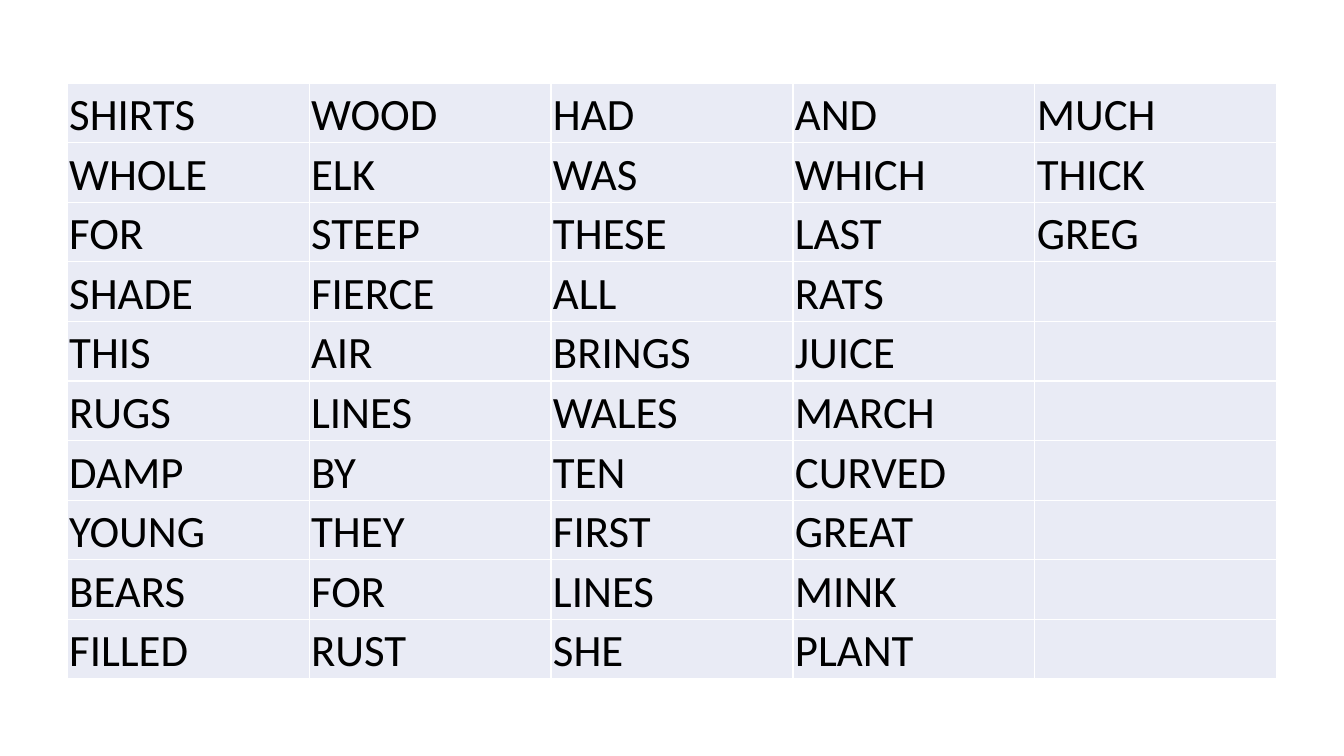
from lxml import etree
from pptx import Presentation, util as u
from pptx.dml.color import RGBColor
from pptx.enum import text
from pptx.oxml import ns

COLORS = {"cell": "E9EBF5", "border": "FFFFFF", "word": "000000"}
SLIDE_WIDTH, SLIDE_HEIGHT = u.Inches(13.33), u.Inches(7.5)

# Table frame as shares of the slide's size
TABLE_LEFT, TABLE_TOP = 0.05, 0.11
TABLE_WIDTH, ROW_HEIGHT = 0.9, 0.0788

CELL_FORMAT = {
    "vertical_anchor": text.MSO_ANCHOR.BOTTOM,
    "margin_left": u.Inches(0.02),
    "margin_top": u.Inches(0.02),
    "margin_right": u.Inches(0.02),
    "margin_bottom": 0,
}
FONT_FORMAT = {"name": "Calibri", "size": u.Pt(32), "bold": False}

WORD_COLUMNS = [
    "SHIRTS WHOLE FOR SHADE THIS RUGS DAMP YOUNG BEARS FILLED".split(),
    "WOOD ELK STEEP FIERCE AIR LINES BY THEY FOR RUST".split(),
    "HAD WAS THESE ALL BRINGS WALES TEN FIRST LINES SHE".split(),
    "AND WHICH LAST RATS JUICE MARCH CURVED GREAT MINK PLANT".split(),
    "MUCH THICK GREG".split(),
]


def set_all(target, values):
    for name, value in values.items():
        setattr(target, name, value)


def add_borders(cell):
    properties = cell._tc.get_or_add_tcPr()
    for side in ("a:lnL", "a:lnR", "a:lnT", "a:lnB"):
        line = etree.SubElement(properties, ns.qn(side), w=str(u.Pt(1)))
        fill = etree.SubElement(line, ns.qn("a:solidFill"))
        etree.SubElement(fill, ns.qn("a:srgbClr"), val=COLORS["border"])


def style_cell(cell):
    add_borders(cell)
    cell.fill.solid()
    cell.fill.fore_color.rgb = RGBColor.from_string(COLORS["cell"])


def write_word(cell, word):
    set_all(cell, CELL_FORMAT)
    span = cell.text_frame.paragraphs[0].add_run()
    span.text = word
    set_all(span.font, FONT_FORMAT)
    span.font.color.rgb = RGBColor.from_string(COLORS["word"])


def add_word_table(page, columns):
    row_count = max(len(words) for words in columns)
    row_height = int(SLIDE_HEIGHT * ROW_HEIGHT)
    table = page.shapes.add_table(
        row_count, len(columns),
        int(SLIDE_WIDTH * TABLE_LEFT), int(SLIDE_HEIGHT * TABLE_TOP),
        int(SLIDE_WIDTH * TABLE_WIDTH), row_height * row_count,
    ).table
    set_all(table, {"first_row": False, "horz_banding": False})
    for cell in table.iter_cells():
        style_cell(cell)
    for column, words in enumerate(columns):
        for row, word in enumerate(words):
            write_word(table.cell(row, column), word)


def main():
    deck = Presentation()
    set_all(deck, {"slide_width": SLIDE_WIDTH, "slide_height": SLIDE_HEIGHT})

    # The slide has no title, so it uses the blank layout
    page = deck.slides.add_slide(deck.slide_layouts[6])
    add_word_table(page, WORD_COLUMNS)
    deck.save("out.pptx")


main()
